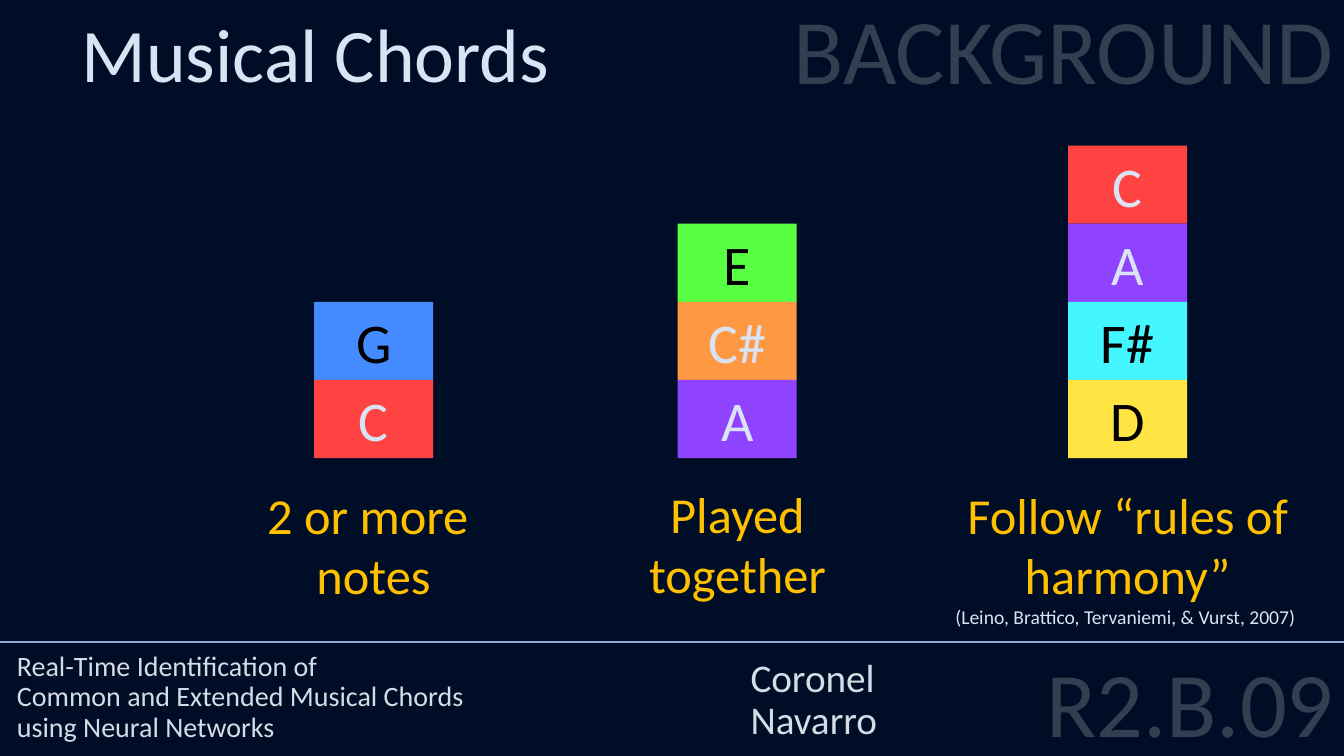
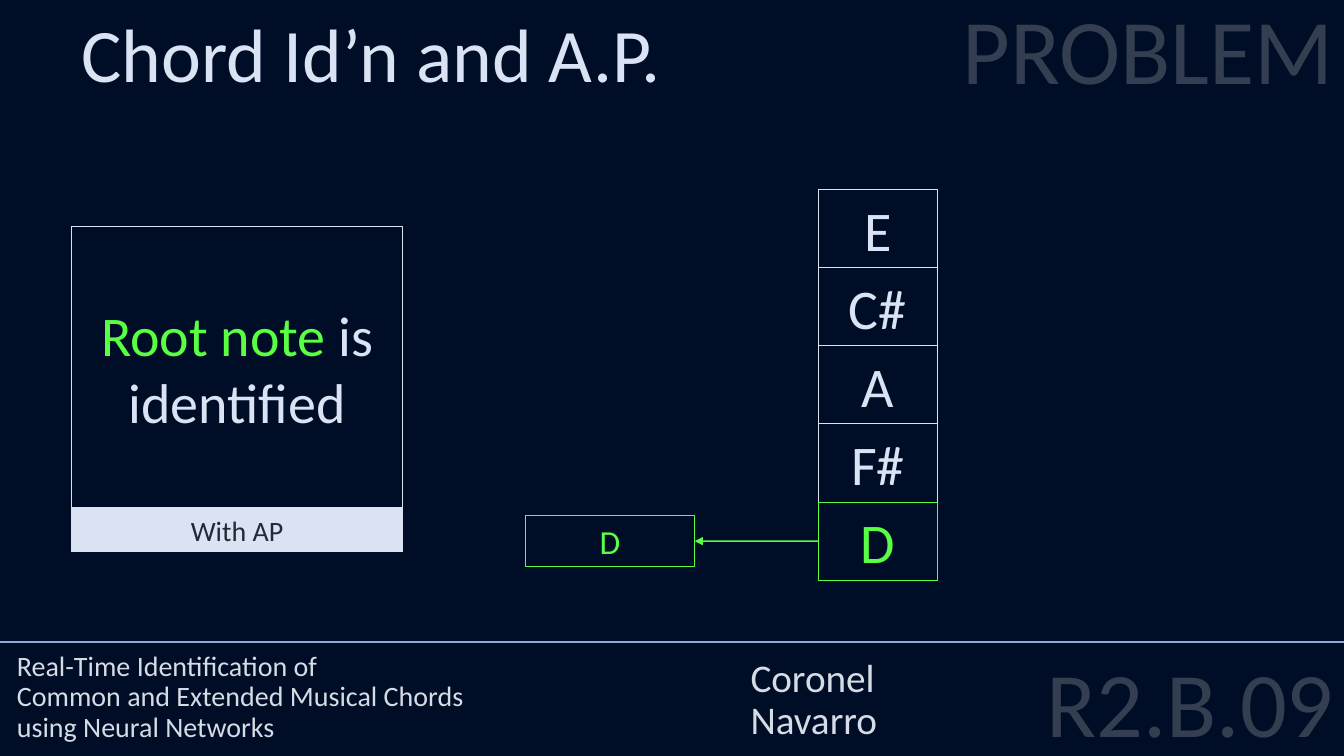
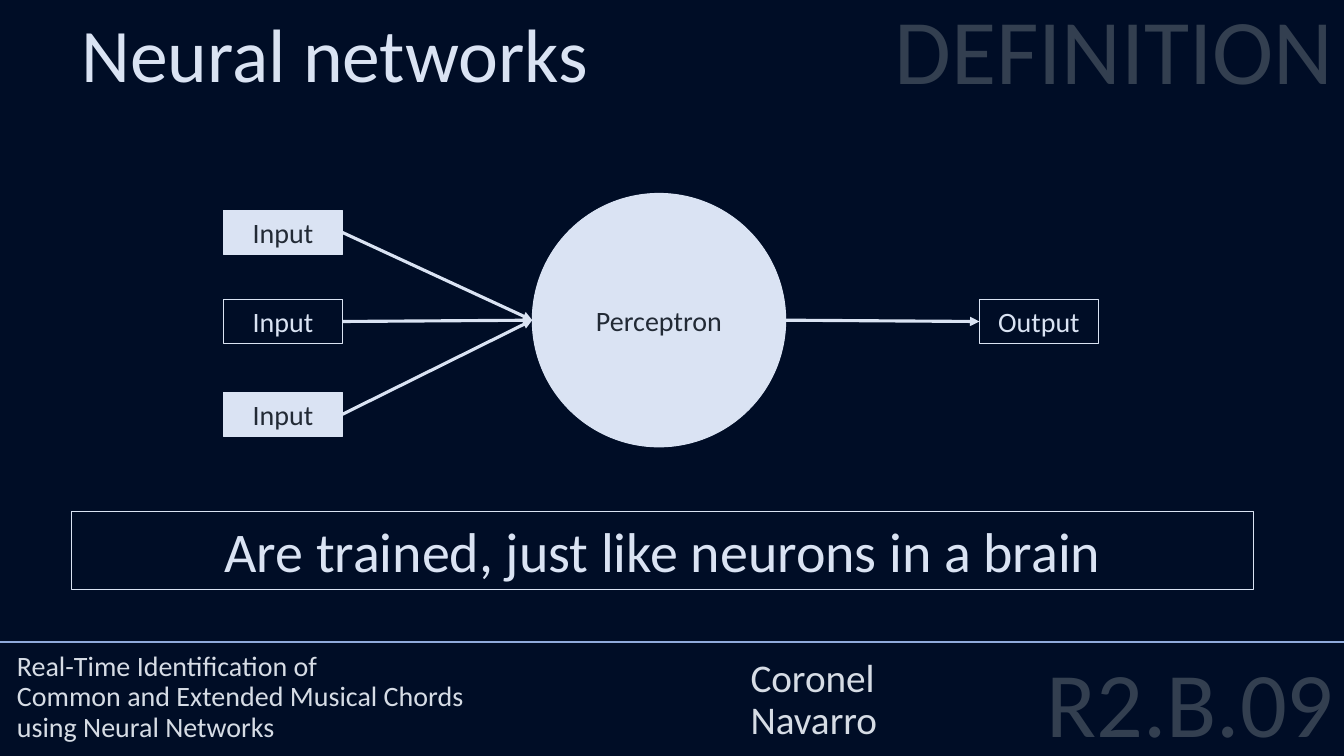
from lxml.etree import SubElement
from pptx import Presentation
from pptx.dml.color import RGBColor
from pptx.enum.shapes import MSO_CONNECTOR, MSO_SHAPE
from pptx.enum.text import MSO_ANCHOR, MSO_AUTO_SIZE, PP_ALIGN
from pptx.oxml.ns import qn
from pptx.util import Pt

FONT = "Calibri"
COLORS = {
    "background": "000D26",
    "pale": "DAE3F3",
    "footer": "D6DCE5",
    "muted": "333F50",
    "rule": "8FAADC",
    "dark": "222A35",
    "black": "000000",
    "gold": "FFC000",
    "red": "FF4343",
    "orange": "FF9843",
    "yellow": "FFE443",
    "green": "59FF43",
    "cyan": "43F6FF",
    "blue": "438BFF",
    "purple": "8F43FF",
}
NOTES = {
    "C": ("red", "pale"),
    "C#": ("orange", "pale"),
    "D": ("yellow", "black"),
    "E": ("green", "black"),
    "F#": ("cyan", "black"),
    "G": ("blue", "black"),
    "A": ("purple", "pale"),
}
SLIDE_WIDTH, SLIDE_HEIGHT = 960, 540
MARGIN = 51.1
NOTE_WIDTH, NOTE_HEIGHT = 85, 55.8
TAG_WIDTH, TAG_HEIGHT = 85, 31.5


def color(name):
    return RGBColor.from_string(COLORS[name])


def place(shape, left, top, width, height):
    shape.left, shape.top = Pt(left), Pt(top)
    shape.width, shape.height = Pt(width), Pt(height)


def write(shape, paragraphs, align=PP_ALIGN.CENTER, anchor=MSO_ANCHOR.TOP,
          spacing=None, before=None):
    frame = shape.text_frame
    frame.word_wrap = True
    frame.auto_size = MSO_AUTO_SIZE.NONE
    frame.vertical_anchor = anchor
    for index, runs in enumerate(paragraphs):
        paragraph = frame.add_paragraph() if index else frame.paragraphs[0]
        paragraph.alignment = align
        paragraph.line_spacing = spacing
        paragraph.space_before = before
        for text, size, color_name in runs:
            for line_index, line in enumerate(text.split("\n")):
                if line_index:
                    paragraph.add_line_break()
                if line:
                    run = paragraph.add_run()
                    run.text = line
                    run.font.name = FONT
                    run.font.size = Pt(size)
                    run.font.color.rgb = color(color_name)


def add_text(slide, box, paragraphs, **style):
    shape = slide.shapes.add_textbox(*map(Pt, box))
    write(shape, paragraphs, **style)


def add_box(slide, box, runs, fill=None, line=None, kind=MSO_SHAPE.RECTANGLE):
    shape = slide.shapes.add_shape(kind, *map(Pt, box))
    shape.shadow.inherit = False
    if fill:
        shape.fill.solid()
        shape.fill.fore_color.rgb = color(fill)
    else:
        shape.fill.background()
    if line:
        shape.line.color.rgb = color(line)
        shape.line.width = Pt(0.75)
    else:
        shape.line.fill.background()
    write(shape, [runs], anchor=MSO_ANCHOR.MIDDLE)
    return shape


def add_line(slide, start, end, color_name, width):
    line = slide.shapes.add_connector(
        MSO_CONNECTOR.STRAIGHT, *map(Pt, (*start, *end)))
    line.line.color.rgb = color(color_name)
    line.line.width = Pt(width)
    SubElement(line._element.spPr, qn("a:effectLst"))
    return line


def add_arrow(slide, start, end, color_name, width):
    arrow = add_line(slide, start, end, color_name, width)
    SubElement(arrow.line._get_or_add_ln(), qn("a:tailEnd"), type="triangle")


def left_side(shape):
    return shape.left.pt, shape.top.pt + shape.height.pt / 2


def right_side(shape):
    return shape.left.pt + shape.width.pt, shape.top.pt + shape.height.pt / 2


def note_boxes(left, bottom, count):
    top = bottom - count * NOTE_HEIGHT
    return [(left, top + index * NOTE_HEIGHT, NOTE_WIDTH, NOTE_HEIGHT)
            for index in range(count)]


def add_chord(slide, left, notes):
    for note, box in zip(notes, note_boxes(left, 327.2, len(notes))):
        fill, text_color = NOTES[note]
        add_box(slide, box, [(note, 40, text_color)], fill=fill)


def add_tag(slide, left, top, text, filled=False, width=TAG_WIDTH):
    return add_box(slide, (left, top, width, TAG_HEIGHT),
                   [(text, 20, "dark" if filled else "pale")],
                   fill="pale" if filled else None, line="pale")


def add_base(presentation, title, title_width, section):
    slide = presentation.slides.add_slide(presentation.slide_layouts[5])
    place(slide.shapes.title, MARGIN, 1.4, title_width, 72.7)
    write(slide.shapes.title, [[(title, 54, "pale")]], align=PP_ALIGN.LEFT)
    project = ("Real-Time Identification of \n"
               "Common and Extended Musical Chords \n"
               "using Neural Networks")
    add_text(slide, (5, 319, 524, 215.3), [[(project, 20, "footer")]],
             align=PP_ALIGN.LEFT, anchor=MSO_ANCHOR.BOTTOM, spacing=0.9)
    add_text(slide, (609, 472.3, 351, 75), [[("R2.B.09", 66, "muted")]],
             align=PP_ALIGN.RIGHT, spacing=0.8, before=Pt(10))
    add_line(slide, (0, 458.6), (SLIDE_WIDTH, 458.6), "rule", 1.5)
    add_text(slide, (529, 319, 367, 215.3),
             [[(name, 28, "footer")] for name in ("Coronel", "Navarro")],
             align=PP_ALIGN.LEFT, anchor=MSO_ANCHOR.BOTTOM, spacing=0.9)
    add_text(slide, (160, 0, 800, 258), [[(section, 66, "muted")]],
             align=PP_ALIGN.RIGHT, spacing=0.9, before=Pt(10))
    return slide


def build_chords(presentation):
    slide = add_base(presentation, "Musical Chords", 429, "BACKGROUND")
    add_chord(slide, 224.4, ["G", "C"])
    add_chord(slide, 484.1, ["E", "C#", "A"])
    add_chord(slide, 763, ["C", "A", "F#", "D"])
    captions = [
        (112.3, 342, 94.3, [[("2 or more ", 36, "gold")], [("notes", 36, "gold")]]),
        (372.3, 341.3, 94.3, [[("Played", 36, "gold")], [("together", 36, "gold")]]),
        (651, 342, 111.6, [[
            ("Follow “rules of harmony”\n", 36, "gold"),
            ("(Leino, Brattico, Tervaniemi, & Vurst, 2007) ", 14, "pale")]]),
    ]
    for left, top, height, paragraphs in captions:
        add_text(slide, (left, top, 309, height), paragraphs)


def build_identification(presentation):
    slide = add_base(presentation, "Chord Id’n and A.P.", 566, "PROBLEM")
    add_box(slide, (MARGIN, 162, 236.5, 201),
            [("Root note", 40, "green"), (" is identified", 40, "pale")],
            line="pale")
    add_tag(slide, MARGIN, 362.7, "With AP", filled=True, width=236.5)
    notes = ["E", "C#", "A", "F#", "D"]
    for note, box in zip(notes, note_boxes(584.5, 414.4, len(notes))):
        accent = "green" if note == "D" else "pale"
        root = add_box(slide, box, [(note, 40, accent)], line=accent)
    answer = add_box(slide, (375.2, 368.4, 121, 36.3),
                     [("D", 24, "green")], line="green")
    add_arrow(slide, left_side(root), right_side(answer), "green", 1)


def build_networks(presentation):
    slide = add_base(presentation, "Neural networks", 601, "DEFINITION")
    perceptron = add_box(slide, (380.2, 138.2, 181, 181),
                         [("Perceptron", 20, "dark")],
                         fill="pale", line="pale", kind=MSO_SHAPE.OVAL)
    for top, filled in ((150.3, True), (213.9, False), (280.2, True)):
        source = add_tag(slide, 159.6, top, "Input", filled)
        add_arrow(slide, right_side(source), left_side(perceptron), "pale", 2.25)
    output = add_tag(slide, 699.6, 213.9, "Output")
    add_arrow(slide, right_side(perceptron), left_side(output), "pale", 2.25)
    add_box(slide, (MARGIN, 365.2, 844.5, NOTE_HEIGHT),
            [("Are trained, just like neurons in a brain", 40, "pale")],
            line="pale")


def main():
    presentation = Presentation()
    presentation.slide_width = Pt(SLIDE_WIDTH)
    presentation.slide_height = Pt(SLIDE_HEIGHT)
    background = presentation.slide_master.background.fill
    background.solid()
    background.fore_color.rgb = color("background")
    build_chords(presentation)
    build_identification(presentation)
    build_networks(presentation)
    presentation.save("out.pptx")


main()
